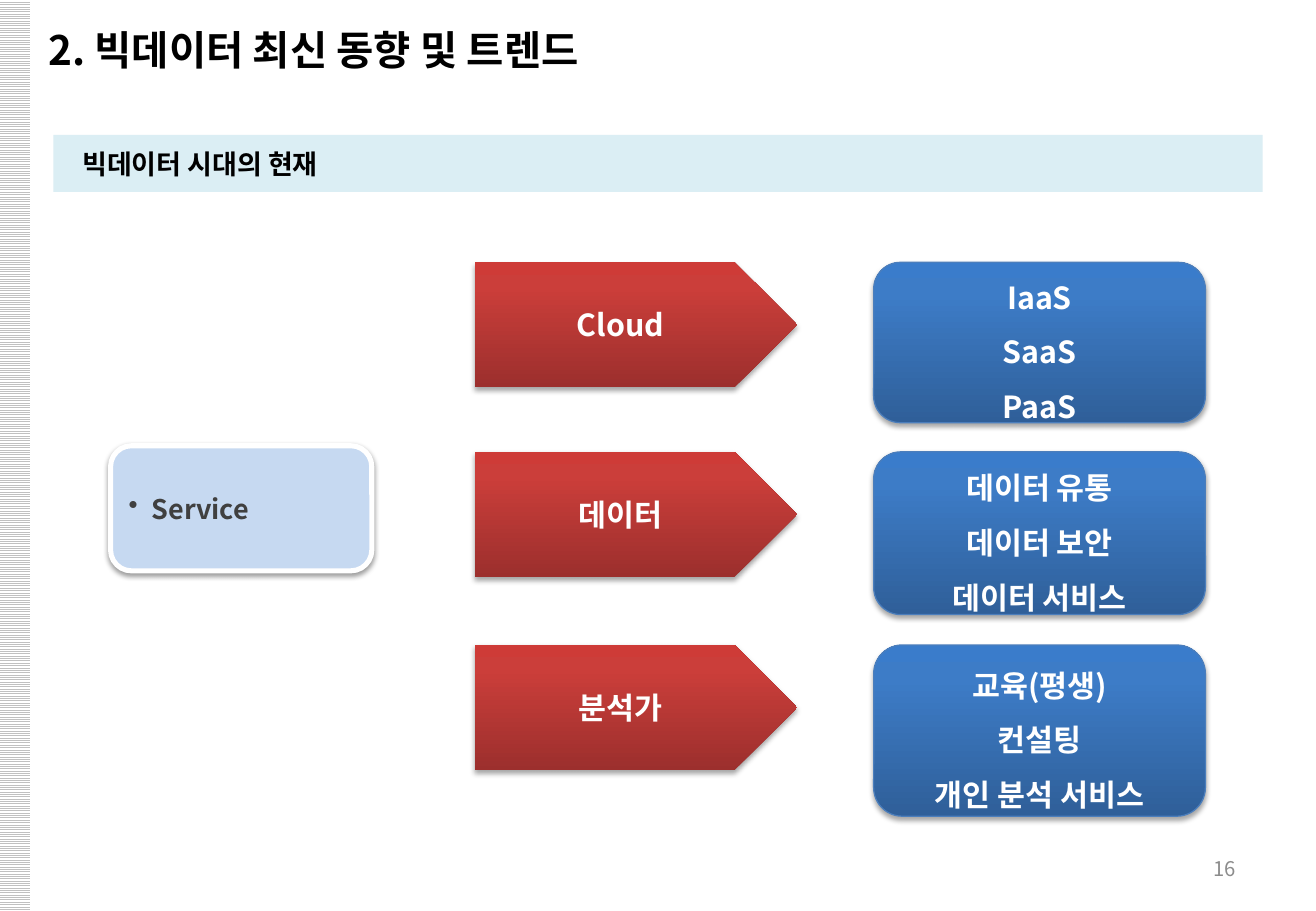
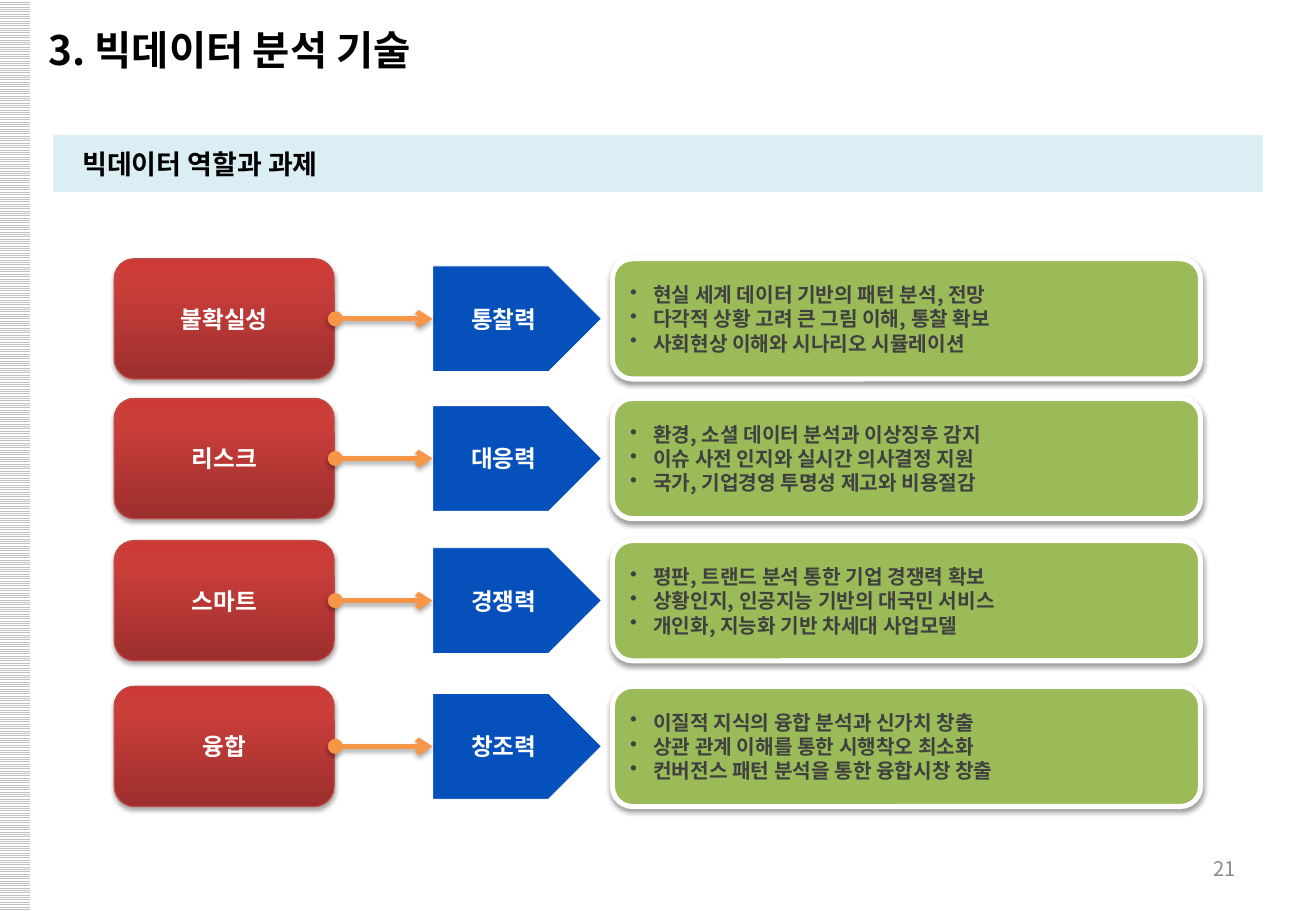
"""Builds two slides on big data trends and analysis."""
import copy

import pptx
import pptx.dml.color
import pptx.enum.dml
import pptx.enum.shapes
import pptx.enum.text
import pptx.oxml
import pptx.oxml.ns
import pptx.util

Inches = pptx.util.Inches
Pt = pptx.util.Pt
RGBColor = pptx.dml.color.RGBColor
SHAPE = pptx.enum.shapes.MSO_SHAPE
ALIGN = pptx.enum.text.PP_ALIGN
ANCHOR = pptx.enum.text.MSO_ANCHOR
qn = pptx.oxml.ns.qn

FONT = "Noto Sans CJK KR"
BLACK = RGBColor(0x00, 0x00, 0x00)
WHITE = RGBColor(0xFF, 0xFF, 0xFF)
DARK_GRAY = RGBColor(0x40, 0x40, 0x40)
NUMBER_GRAY = RGBColor(0x8C, 0x8C, 0x8C)
STRIPE_GRAY = RGBColor(0xC0, 0xC0, 0xC0)
BAND = RGBColor(0xDB, 0xEE, 0xF4)
PALE_BLUE = RGBColor(0xC6, 0xD9, 0xF1)
ROYAL_BLUE = RGBColor(0x06, 0x50, 0xBC)
GREEN = RGBColor(0x9B, 0xBB, 0x59)
ORANGE = RGBColor(0xF7, 0x96, 0x46)
BLUE_LINE = RGBColor(0x4B, 0x7E, 0xBC)
RED_LINE = RGBColor(0xBF, 0x4C, 0x48)
BLUE_GRADIENT = (
    (0, RGBColor(0x2F, 0x5F, 0x99)),
    (0.8, RGBColor(0x3D, 0x7C, 0xC7)),
    (1, RGBColor(0x3A, 0x7C, 0xCB)),
)
RED_GRADIENT = (
    (0, RGBColor(0x9C, 0x2F, 0x2D)),
    (0.8, RGBColor(0xCB, 0x3E, 0x3A)),
    (1, RGBColor(0xCE, 0x3B, 0x37)),
)

PLAIN_INSETS = (0.1, 0.05)
FLAT_INSETS = (0.1, 0)
LABEL = {"size": 18, "color": WHITE, "align": ALIGN.CENTER}
SMALL_LABEL = {**LABEL, "size": 14}
BULLETS = {"color": DARK_GRAY, "indent": (0.19, -0.19), "bullet": "•"}
SOFT_SHADOW = (35, 1.8)
CARD_SHADOW = (38, 1.6)

SERVICE_ROWS = (
    (2.16, 1.32, "Cloud", ("IaaS", "SaaS", "PaaS")),
    (3.72, 1.34, "데이터", ("데이터 유통", "데이터 보안", "데이터 서비스")),
    (5.31, 1.41, "분석가", ("교육(평생)", "컨설팅", "개인 분석 서비스")),
)
ROLE_ROWS = (
    (2.13, "불확실성", "통찰력", (
        "현실 세계 데이터 기반의 패턴 분석, 전망",
        "다각적 상황 고려 큰 그림 이해, 통찰 확보",
        "사회현상 이해와 시나리오 시뮬레이션")),
    (3.28, "리스크", "대응력", (
        "환경, 소셜 데이터 분석과 이상징후 감지",
        "이슈 사전 인지와 실시간 의사결정 지원",
        "국가, 기업경영 투명성 제고와 비용절감")),
    (4.45, "스마트", "경쟁력", (
        "평판, 트랜드 분석 통한 기업 경쟁력 확보",
        "상황인지, 인공지능 기반의 대국민 서비스",
        "개인화, 지능화 기반 차세대 사업모델")),
    (5.65, "융합", "창조력", (
        "이질적 지식의 융합 분석과 신가치 창출",
        "상관 관계 이해를 통한 시행착오 최소화",
        "컨버전스 패턴 분석을 통한 융합시창 창출")),
)


def add_xml(parent, tag, **attributes):
    """Append a drawing element to parent and return it."""
    element = parent.makeelement(qn(tag), attributes)
    parent.append(element)
    return element


def add_shadow(effects, opacity, distance):
    """Put a soft downward shadow in an effect list."""
    shadow = add_xml(effects, "a:outerShdw", blurRad=str(Pt(3.1)), dist=str(Pt(distance)),
                     dir="5400000", algn="ctr", rotWithShape="0")
    color = add_xml(shadow, "a:srgbClr", val=str(BLACK))
    add_xml(color, "a:alpha", val=str(opacity * 1000))


def fill_gradient(fill, stops):
    """Fill from bottom to top with the given colour stops."""
    fill.gradient()
    fill.gradient_angle = 90
    last = fill.gradient_stops[-1]._gs
    last.addnext(copy.deepcopy(last))
    for stop, (position, color) in zip(fill.gradient_stops, stops):
        stop.position = position
        stop.color.rgb = color


def write(shape, lines, size, color, bold=True, align=ALIGN.LEFT, anchor=ANCHOR.MIDDLE,
          insets=FLAT_INSETS, spacing=None, indent=None, bullet=None):
    """Write one paragraph per line in a shape."""
    frame = shape.text_frame
    side, edge = (Inches(inset) for inset in insets)
    frame_format = {"word_wrap": True, "vertical_anchor": anchor, "margin_left": side,
                    "margin_right": side, "margin_top": edge, "margin_bottom": edge}
    for name, value in frame_format.items():
        setattr(frame, name, value)
    for index, line in enumerate(lines):
        paragraph = frame.add_paragraph() if index else frame.paragraphs[0]
        properties = paragraph._p.get_or_add_pPr()
        if indent:
            for name, value in zip(("marL", "indent"), indent):
                properties.set(name, str(Inches(value)))
        if bullet:
            add_xml(properties, "a:buChar", char=bullet)
        for name, value in {"alignment": align, "line_spacing": spacing}.items():
            setattr(paragraph, name, value)
        run = paragraph.add_run()
        run.text = line
        for name, value in {"size": Pt(size), "bold": bold, "name": FONT}.items():
            setattr(run.font, name, value)
        run.font.color.rgb = color
        add_xml(run._r.get_or_add_rPr(), "a:ea", typeface=FONT)


def add_box(slide, kind, box, fill, line=None, shadow=None):
    """Add a preset shape with a solid or gradient fill."""
    shape = slide.shapes.add_shape(kind, *map(Inches, box))
    if isinstance(fill, RGBColor):
        shape.fill.solid()
        shape.fill.fore_color.rgb = fill
    else:
        fill_gradient(shape.fill, fill)
    if line:
        shape.line.color.rgb = line[0]
        shape.line.width = Pt(line[1])
    else:
        shape.line.fill.background()
    shape.shadow.inherit = False
    if shadow:
        add_shadow(shape._element.spPr.find(qn("a:effectLst")), *shadow)
    return shape


def add_arrow(slide, left, right, middle):
    """Add a level arrow with a round start."""
    points = map(Inches, (left, middle, right, middle))
    arrow = slide.shapes.add_connector(pptx.enum.shapes.MSO_CONNECTOR.STRAIGHT, *points)
    arrow.line.color.rgb = ORANGE
    arrow.line.width = Pt(3)
    outline = arrow.line._get_or_add_ln()
    add_xml(outline, "a:headEnd", type="oval")
    add_xml(outline, "a:tailEnd", type="arrow")
    add_shadow(add_xml(arrow._element.spPr, "a:effectLst"), *SOFT_SHADOW)


def add_frame(presentation, title, heading, number):
    """Add a slide with its stripe, title, heading band and number."""
    slide = presentation.slides.add_slide(presentation.slide_layouts[6])
    stripe = add_box(slide, SHAPE.RECTANGLE, (-0.01, 0, 0.26, 7.5), WHITE)
    stripe.fill.patterned()
    stripe.fill.pattern = pptx.enum.dml.MSO_PATTERN.LIGHT_HORIZONTAL
    stripe.fill.fore_color.rgb = STRIPE_GRAY
    stripe.fill.back_color.rgb = WHITE
    number_box = slide.shapes.add_textbox(*map(Inches, (7.94, 6.95, 2.33, 0.4)))
    write(number_box, [str(number)], 12, NUMBER_GRAY, bold=False, align=ALIGN.RIGHT,
          insets=PLAIN_INSETS)
    title_box = slide.shapes.add_textbox(*map(Inches, (0.3, 0.16, 9.75, 0.6)))
    write(title_box, [title], 24, BLACK, anchor=ANCHOR.TOP, insets=PLAIN_INSETS)
    band = add_box(slide, SHAPE.RECTANGLE, (0.44, 1.11, 9.95, 0.47), BAND)
    write(band, [heading], 16, BLACK, anchor=ANCHOR.TOP, insets=PLAIN_INSETS,
          spacing=1.2, indent=(0.3, -0.16))
    return slide


def add_card(slide, box, fill, lines, size):
    """Add a white-edged card of bullets."""
    card = add_box(slide, SHAPE.ROUNDED_RECTANGLE, box, fill, (WHITE, 3), CARD_SHADOW)
    write(card, lines, size, **BULLETS)


def add_service_row(slide, box, topic, offers):
    """Add a topic pentagon and the box of its offers."""
    left, top, width, height = box
    pentagon = add_box(slide, SHAPE.PENTAGON, (left, top, 2.65, 1.03), RED_GRADIENT,
                       shadow=SOFT_SHADOW)
    write(pentagon, [topic], **LABEL)
    offer_box = add_box(slide, SHAPE.ROUNDED_RECTANGLE,
                        (left + 3.28, top, width - 3.28, height),
                        BLUE_GRADIENT, (BLUE_LINE, 0.75), SOFT_SHADOW)
    write(offer_box, offers, spacing=1.5, **LABEL)


def add_role_row(slide, box, challenge, ability, tasks):
    """Add a challenge, an arrow, an ability and its card of tasks."""
    left, top, width, height = box
    challenge_box = add_box(slide, SHAPE.ROUNDED_RECTANGLE, (left, top, 1.81, height),
                            RED_GRADIENT, (RED_LINE, 0.75), SOFT_SHADOW)
    write(challenge_box, [challenge], **SMALL_LABEL)
    pentagon = add_box(slide, SHAPE.PENTAGON, (left + 2.62, top + 0.06, 1.39, height - 0.12),
                       ROYAL_BLUE, (WHITE, 0.5))
    write(pentagon, [ability], **SMALL_LABEL)
    add_card(slide, (left + 4.1, top, width - 4.1, height), GREEN, tasks, 12)
    add_arrow(slide, left + 1.82, left + 2.62, top + height / 2)


def build_services(presentation):
    """Build the slide of present-day services."""
    slide = add_frame(presentation, "2. 빅데이터 최신 동향 및 트렌드", "빅데이터 시대의 현재", 16)
    add_card(slide, (0.91, 3.67, 2.15, 1.03), PALE_BLUE, ["Service"], 16)
    for top, height, topic, offers in SERVICE_ROWS:
        add_service_row(slide, (3.91, top, 6.01, height), topic, offers)


def build_roles(presentation):
    """Build the slide of roles and tasks."""
    slide = add_frame(presentation, "3. 빅데이터 분석 기술", "빅데이터 역할과 과제", 21)
    for top, challenge, ability, tasks in ROLE_ROWS:
        add_role_row(slide, (0.94, top, 8.94, 0.99), challenge, ability, tasks)


def main():
    """Build and save the presentation."""
    presentation = pptx.Presentation()
    presentation.slide_width = Inches(10.83)
    presentation.slide_height = Inches(7.5)
    build_services(presentation)
    build_roles(presentation)
    presentation.save("out.pptx")


if __name__ == "__main__":
    main()
